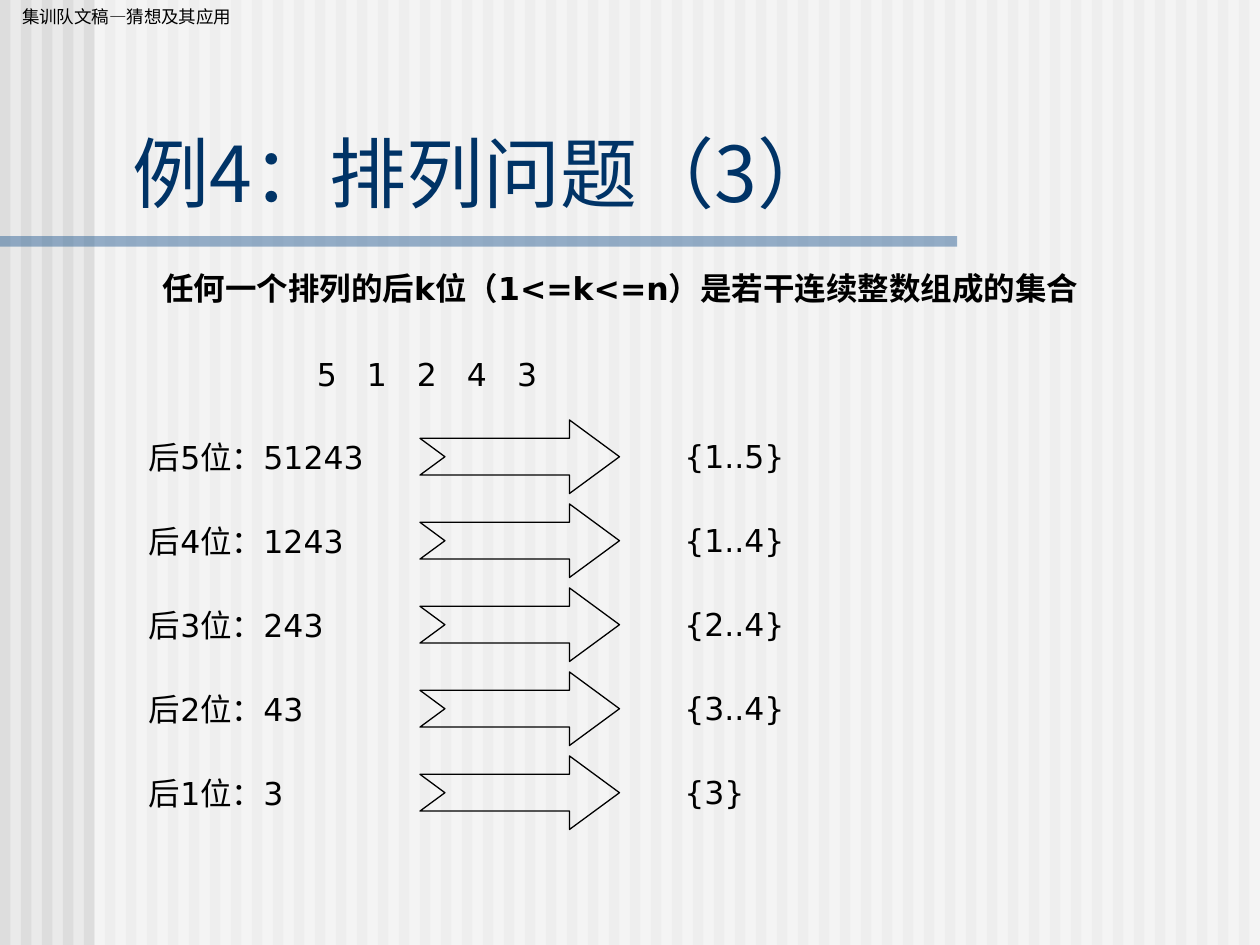
import pptx
import pptx.dml.color
import pptx.enum.shapes
import pptx.enum.text
import pptx.oxml.ns
import pptx.util
from lxml import etree

Pt = pptx.util.Pt
qn = pptx.oxml.ns.qn
ALIGN = pptx.enum.text.PP_ALIGN
ANCHOR = pptx.enum.text.MSO_ANCHOR
SHAPE = pptx.enum.shapes.MSO_SHAPE


def colour(hex_text):
    return pptx.dml.color.RGBColor.from_string(hex_text)


class Slide:
    """Hold the style and the current slide, and draw each kind of element."""

    ink = "000000"
    font = "DejaVu Sans"
    east_asian_font = "Noto Sans CJK SC"
    size = 18

    def __init__(self, deck):
        self.page = deck.slides.add_slide(deck.slide_layouts[6])

    def background(self, fill):
        self.page.background.fill.solid()
        self.page.background.fill.fore_color.rgb = colour(fill)

    def bar(self, left, top, width, height, fill, opacity=100):
        bar = self.page.shapes.add_shape(
            SHAPE.RECTANGLE, Pt(left), Pt(top), Pt(width), Pt(height))
        bar.shadow.inherit = False
        bar.line.fill.background()
        bar.fill.solid()
        bar.fill.fore_color.rgb = colour(fill)
        if opacity < 100:
            shade = bar.fill._xPr.find(".//" + qn("a:srgbClr"))
            etree.SubElement(shade, qn("a:alpha"), val=str(opacity * 1000))

    def arrow(self, left, top, width, height):
        arrow = self.page.shapes.add_shape(
            SHAPE.NOTCHED_RIGHT_ARROW, Pt(left), Pt(top), Pt(width), Pt(height))
        arrow.adjustments[0] = 0.5
        arrow.adjustments[1] = 0.68
        arrow.shadow.inherit = False
        arrow.fill.background()
        arrow.line.color.rgb = colour(self.ink)
        arrow.line.width = Pt(0.75)

    def text(self, left, top, width, height, words, size=None, font=None,
             ink=None, bold=False, align=ALIGN.LEFT, anchor=ANCHOR.TOP, tabs=()):
        box = self.page.shapes.add_textbox(Pt(left), Pt(top), Pt(width), Pt(height))
        frame = box.text_frame
        frame.word_wrap = True
        frame.vertical_anchor = anchor
        para = frame.paragraphs[0]
        if tabs:
            stops = etree.SubElement(para._p.get_or_add_pPr(), qn("a:tabLst"))
            for stop in tabs:
                etree.SubElement(stops, qn("a:tab"), pos=str(Pt(stop)), algn="l")
        para.alignment = align
        span = para.add_run()
        span.text = words
        span.font.name = font or self.font
        span.font.size = Pt(size or self.size)
        span.font.bold = bold
        span.font.color.rgb = colour(ink or self.ink)
        latin = span.font._element.find(qn("a:latin"))
        latin.addnext(etree.Element(qn("a:ea"), typeface=self.east_asian_font))


def main():
    deck = pptx.Presentation()
    deck.slide_width, deck.slide_height = Pt(720), Pt(540)
    slide = Slide(deck)

    slide.background("EAEAEA")
    for stripe_left in range(0, 720, 12):
        slide.bar(stripe_left, 0, 6, 540, "DDDDDD")
    slide.bar(54, 0, 666, 540, "FFFFFF", opacity=50)
    slide.bar(0, 135, 547, 6, "336699", opacity=50)

    slide.text(5.5, 0, 162, 19.5, "集训队文稿—猜想及其应用",
               size=10, font="Times New Roman")
    slide.text(68.5, 67.5, 643, 60.5, "例4：排列问题（3）", size=44,
               font="Noto Sans CJK SC", ink="003366", anchor=ANCHOR.BOTTOM)
    slide.text(33.5, 150, 642, 29,
               "任何一个排列的后k位（1<=k<=n）是若干连续整数组成的集合",
               bold=True, align=ALIGN.CENTER)

    permutation = "51243"
    digit_gap = 28.6
    slide.text(174, 199.5, 246, 29, "\t".join(permutation),
               tabs=[digit_gap * place for place in range(1, len(permutation))])

    value_sets = ["{1..5}", "{1..4}", "{2..4}", "{3..4}", "{3}"]
    for row, value_set in enumerate(value_sets):
        top = 240 + 48 * row
        tail = permutation[row:]
        slide.text(78, top + 7, 312, 29, f"后{len(tail)}位：{tail}")
        slide.arrow(240, top, 114, 42)
        slide.text(384, top + 6, 150, 29, value_set)

    deck.save("out.pptx")


if __name__ == "__main__":
    main()
